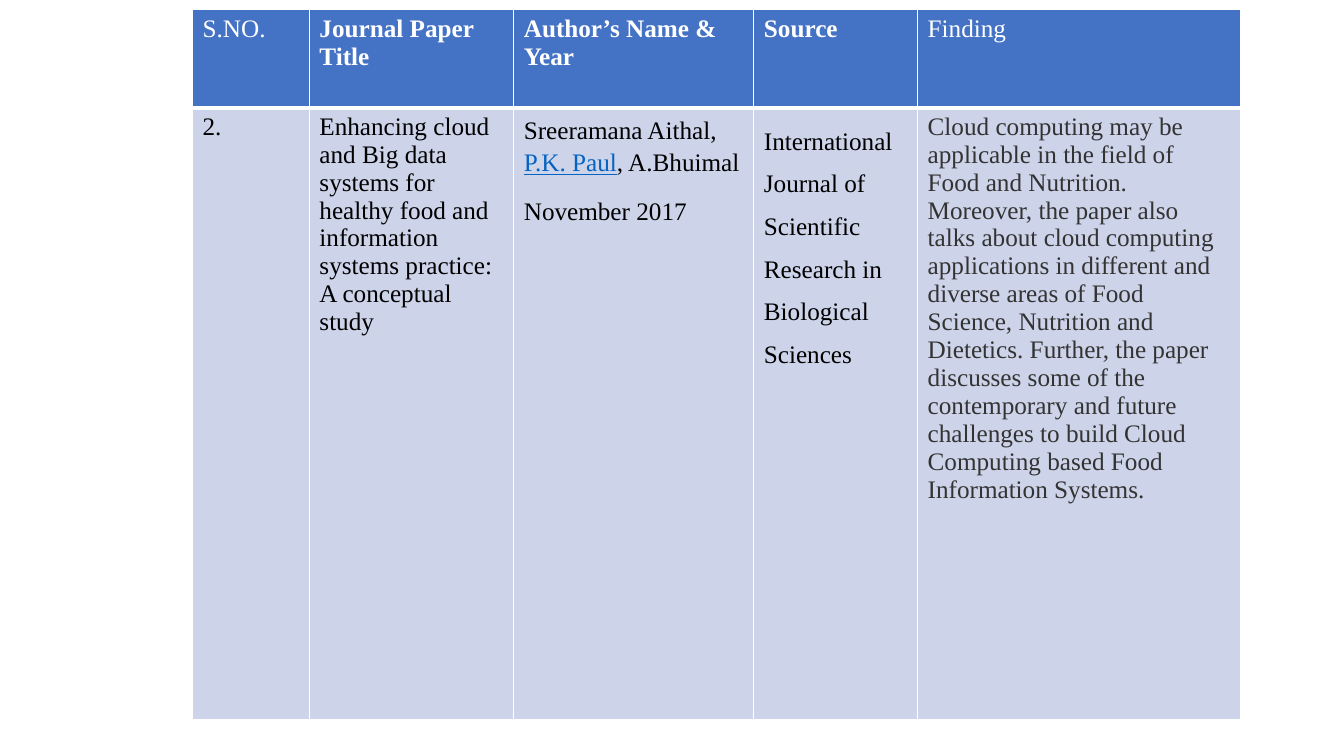
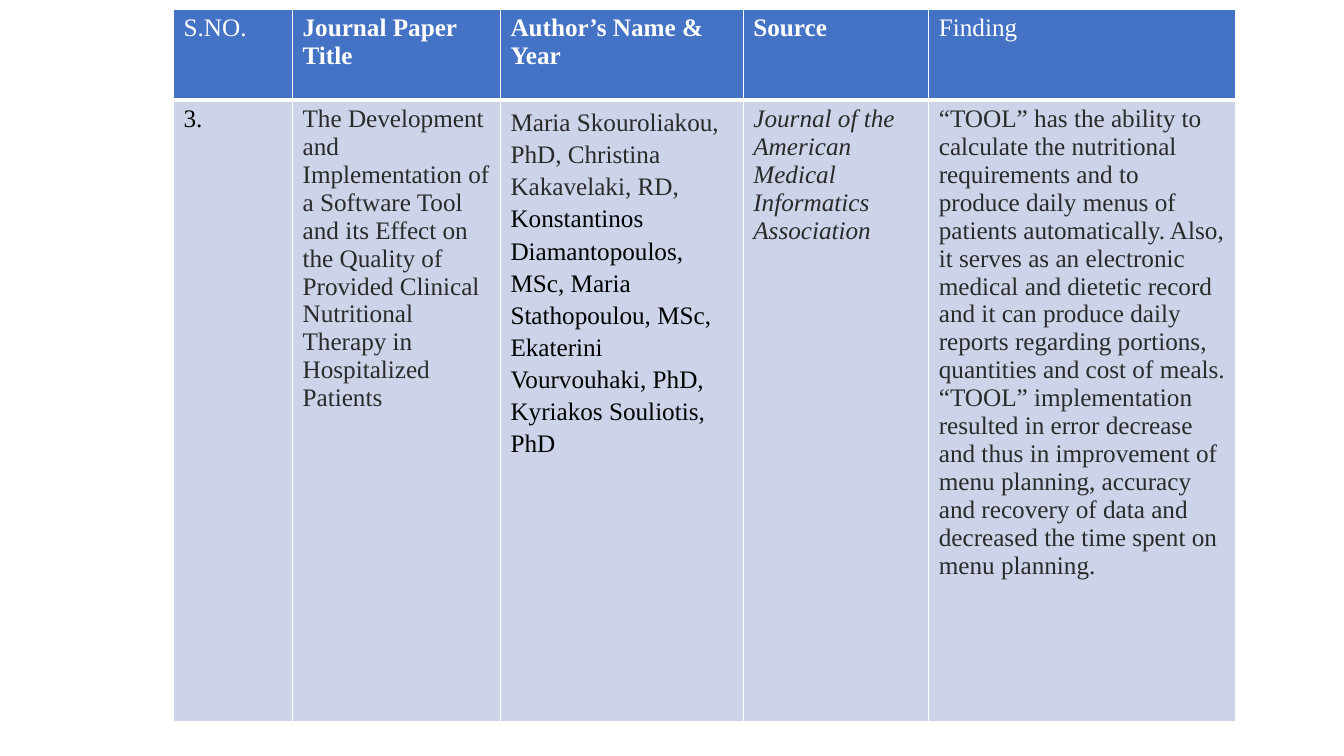
from dataclasses import dataclass

from lxml.etree import SubElement
from pptx import Presentation
from pptx.dml.color import RGBColor as RGB
from pptx.oxml.ns import qn
from pptx.util import Pt


@dataclass(frozen=True)
class Theme:
    font: str = "Times New Roman"
    size: int = 18
    white: str = "FFFFFF"
    black: str = "000000"
    charcoal: str = "333333"
    ink: str = "2A2A2A"
    link: str = "0563C1"
    header: str = "4472C4"
    body: str = "CDD4EA"
    thin: int = 1
    thick: int = 3


T = Theme()


@dataclass(frozen=True)
class Run:
    text: str
    color: str = T.black
    bold: bool = False
    italic: bool = False
    underline: bool = False


@dataclass(frozen=True)
class Para:
    runs: tuple
    spacing: float = 1.0
    before: int = 0


def plain(text, color=T.black, spacing=1.0, **style):
    """A paragraph of a single run."""
    return Para((Run(text, color, **style),), spacing)


def authors(*runs):
    return Para(runs, spacing=1.15, before=12)


HEADER = [
    [plain(text, T.white, bold=bold)]
    for text, bold in [
        ("S.NO.", False),
        ("Journal Paper Title", True),
        ("Author’s Name & Year", True),
        ("Source", True),
        ("Finding", False),
    ]
]

PAPERS = [
    {
        "left": 137.5, "top": 7,
        "widths": [83.5, 146, 171.5, 117, 230.5],
        "heights": [70, 437],
        "cells": [
            [plain("2.")],
            [plain("Enhancing cloud and Big data systems for healthy food and "
                   "information systems practice: A conceptual study")],
            [authors(Run("Sreeramana Aithal, "),
                     Run("P.K. Paul", T.link, underline=True),
                     Run(", A.Bhuimal")),
             authors(Run("November 2017"))],
            [plain("International Journal of Scientific Research in", spacing=1.53),
             plain("Biological Sciences", spacing=1.53)],
            [plain("Cloud computing may be applicable in the field of Food and "
                   "Nutrition. Moreover, the paper also talks about cloud computing "
                   "applications in different and diverse areas of Food Science, "
                   "Nutrition and Dietetics. Further, the paper discusses some of the "
                   "contemporary and future challenges to build Cloud Computing based "
                   "Food Information Systems.", T.charcoal)],
        ],
    },
    {
        "left": 124, "top": 6.5,
        "widths": [85, 148.5, 173.5, 132.5, 219],
        "heights": [65, 444],
        "cells": [
            [plain("3.")],
            [plain("The Development and Implementation of a Software Tool and its "
                   "Effect on the Quality of Provided Clinical Nutritional Therapy in "
                   "Hospitalized Patients", T.ink)],
            [authors(Run("Maria Skouroliakou, PhD, Christina Kakavelaki, RD,", T.ink),
                     Run(" Konstantinos Diamantopoulos, MSc, Maria Stathopoulou, MSc, "
                         "Ekaterini Vourvouhaki, PhD, Kyriakos Souliotis, PhD"))],
            [plain("Journal of the American Medical Informatics Association",
                   T.ink, italic=True)],
            [plain("“TOOL” has the ability to calculate the nutritional requirements "
                   "and to produce daily menus of patients automatically. Also, it "
                   "serves as an electronic medical and dietetic record and it can "
                   "produce daily reports regarding portions, quantities and cost of "
                   "meals. “TOOL” implementation resulted in error decrease and thus "
                   "in improvement of menu planning, accuracy and recovery of data and "
                   "decreased the time spent on menu planning.", T.ink)],
        ],
    },
]


def set_borders(cell, **widths):
    """Draw white borders; widths maps L, R, T and B to points."""
    tc_pr = cell._tc.get_or_add_tcPr()
    for side, width in widths.items():
        ln = SubElement(tc_pr, qn(f"a:ln{side}"), w=str(Pt(width)))
        fill = SubElement(ln, qn("a:solidFill"))
        SubElement(fill, qn("a:srgbClr"), val=T.white)


def write(tf, paras):
    for i, para in enumerate(paras):
        p = tf.add_paragraph() if i else tf.paragraphs[0]
        p.line_spacing = para.spacing
        p.space_before = Pt(para.before)
        p.font.name, p.font.size = T.font, Pt(T.size)
        for run in para.runs:
            r = p.add_run()
            r.text = run.text
            r.font.color.rgb = RGB.from_string(run.color)
            r.font.bold = run.bold
            r.font.italic = run.italic
            r.font.underline = run.underline


def add_paper_slide(prs, paper):
    s = prs.slides.add_slide(prs.slide_layouts[6])
    widths, heights = paper["widths"], paper["heights"]
    table = s.shapes.add_table(
        len(heights), len(widths), Pt(paper["left"]), Pt(paper["top"]),
        Pt(sum(widths)), Pt(sum(heights))).table
    table.first_row = table.horz_banding = False
    for column, width in zip(table.columns, widths):
        column.width = Pt(width)
    for row, height in zip(table.rows, heights):
        row.height = Pt(height)

    bands = [
        (HEADER, T.header, T.thin, T.thick),
        (paper["cells"], T.body, T.thick, T.thin),
    ]
    for row, (texts, color, above, below) in zip(table.rows, bands):
        for cell, paras in zip(row.cells, texts):
            set_borders(cell, L=T.thin, R=T.thin, T=above, B=below)
            cell.fill.solid()
            cell.fill.fore_color.rgb = RGB.from_string(color)
            write(cell.text_frame, paras)


def main():
    prs = Presentation()
    prs.slide_width, prs.slide_height = Pt(960), Pt(540)
    for paper in PAPERS:
        add_paper_slide(prs, paper)
    prs.save("out.pptx")


if __name__ == "__main__":
    main()
